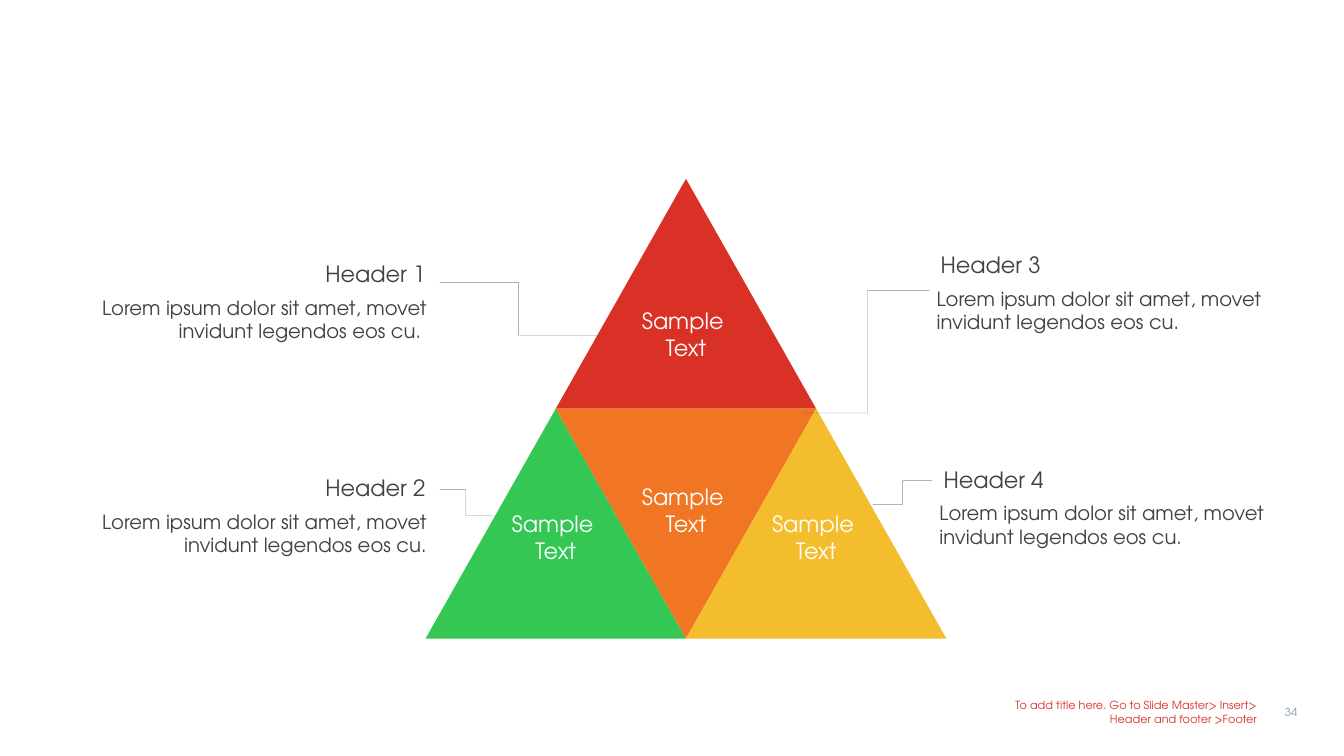
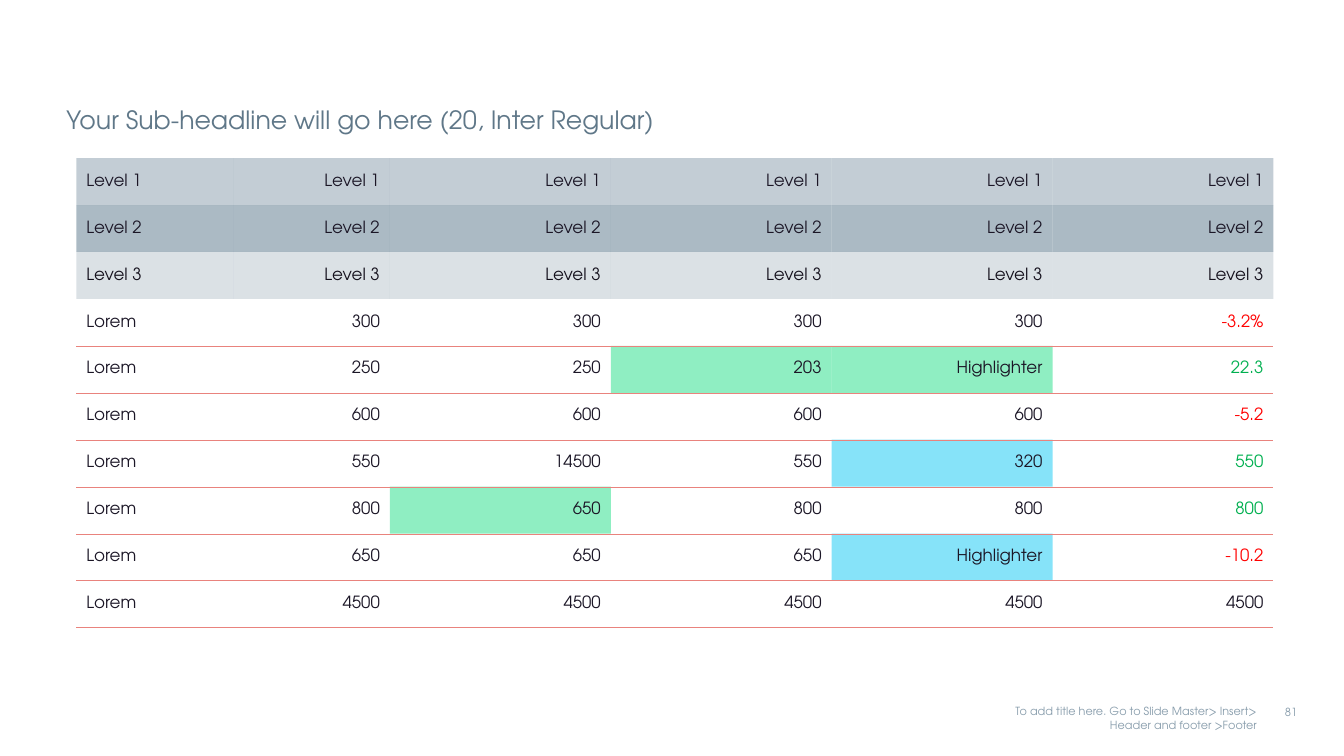
import pptx
import pptx.util
import pptx.dml.color
import pptx.enum.text
import pptx.enum.shapes
import pptx.oxml
import pptx.oxml.ns
import lxml.etree

Pt = pptx.util.Pt
Align = pptx.enum.text.PP_ALIGN
Anchor = pptx.enum.text.MSO_ANCHOR
qn = pptx.oxml.ns.qn

THEME = {
    "font": "TeX Gyre Adventor",
    "color": {
        "red": "DA3126", "green": "34C754", "orange": "F07624", "yellow": "F4BD2D",
        "white": "FFFFFF", "text": "414043", "ink": "1B1626", "dark": "14101C",
        "slate": "889DAC", "title": "5F7788", "rule": "E9837D",
        "mint": "20DE86", "sky": "0FC9F4", "loss": "FF0000", "gain": "00B050",
    },
    "size": {"foot": 8, "cell": 12, "body": 14, "head": 16, "title": 18},
}

FOOTER = "To add title here. Go to Slide Master> Insert> Header and footer >Footer"

TRIANGLES = [
    ("red", [(1, 1), (2, 0), (3, 1)], 1.5),
    ("green", [(0, 2), (1, 1), (2, 2)], 0.5),
    ("orange", [(3, 1), (2, 2), (1, 1)], -0.5),
    ("yellow", [(2, 2), (3, 1), (4, 2)], 0.5),
]
SAMPLE = ["Sample ", "Text"]
LOREM = "Lorem ipsum dolor sit amet, movet invidunt legendos eos cu."
LABELS = [
    ("Header 1", LOREM + " ", "left", 312, 180),
    ("Header 2", LOREM, "left", 312, 333),
    ("Header 3", LOREM, "right", 664, 173.7),
    ("Header 4", LOREM, "right", 666, 327),
]
LINKS = [
    (314, 201.7, 427, 239.6),
    (314, 349.7, 351.5, 368.2),
    (666, 343.3, 623.5, 360.3),
    (664, 207.4, 575.3, 295),
]

SUBHEAD = "Your Sub-headline will go here (20, Inter Regular)"
LEVELS = [("Level 1", 50, "ink"), ("Level 2", 70, "ink"), ("Level 3", 30, "dark")]
ROWS = [
    ["Lorem", "300", "300", "300", "300", "-3.2%"],
    ["Lorem", "250", "250", "203", "Highlighter", "22.3"],
    ["Lorem", "600", "600", "600", "600", "-5.2"],
    ["Lorem", "550", "14500", "550", "320", "550"],
    ["Lorem", "800", "650", "800", "800", "800"],
    ["Lorem", "650", "650", "650", "Highlighter", "-10.2"],
    ["Lorem", "4500", "4500", "4500", "4500", "4500"],
]
MARKS = {(1, 3): "mint", (1, 4): "mint", (3, 4): "sky", (4, 2): "mint", (5, 4): "sky"}
WIDTHS = [112, 112] + [157.8] * 4
HEIGHT = 33.55
PLAIN = "{2D5ABB26-0587-4C30-8999-92F81FD0307C}"


def put(item, **values):
    for name, value in values.items():
        setattr(item, name, value)


def rgb(name):
    return pptx.dml.color.RGBColor.from_string(THEME["color"][name])


def paint(fill, name):
    fill.solid()
    fill.fore_color.rgb = rgb(name)


def fade(node, share):
    for tint in node.iter(qn("a:srgbClr")):
        lxml.etree.SubElement(tint, qn("a:alpha"), val=str(share * 1000))


def write(frame, lines, size, color, align, pitch=None):
    for num, line in enumerate(lines):
        para = frame.paragraphs[0] if num == 0 else frame.add_paragraph()
        put(para, alignment=align, line_spacing=pitch)
        run = para.add_run()
        run.text = line
        put(run.font, name=THEME["font"], size=Pt(THEME["size"][size]))
        run.font.color.rgb = rgb(color)


def label(slide, area, text, size, color, align=Align.LEFT, pitch=None, pad=None,
          anchor=Anchor.TOP):
    frame = slide.shapes.add_textbox(*map(Pt, area)).text_frame
    put(frame, word_wrap=True, vertical_anchor=anchor)
    if pad is not None:
        put(frame, **{"margin_" + side: Pt(pad) for side in ("left", "right", "top", "bottom")})
    write(frame, [text], size, color, align, pitch)


def start(deck, page, color, anchor):
    slide = deck.slides.add_slide(deck.slide_layouts[6])
    label(slide, (893.5, 500.4, 40.3, 17.3), page, "foot", "slate", Align.RIGHT)
    label(slide, (707.8, 499.7, 197.3, 18), FOOTER, "foot", color, Align.RIGHT, anchor=anchor)
    return slide


def wedge(slide, color, nodes, shift):
    spots = [(Pt(304 + 93 * col), Pt(127.7 + 164.2 * row)) for col, row in nodes]
    path = slide.shapes.build_freeform(*spots[0], scale=1.0)
    path.add_line_segments(spots[1:], close=True)
    shape = path.convert_to_shape()
    shape.shadow.inherit = False
    paint(shape.fill, color)
    shape.line.fill.background()
    move = 2 * 19.3 * shift
    put(shape.text_frame, word_wrap=True, vertical_anchor=Anchor.MIDDLE,
        margin_left=Pt(5), margin_right=Pt(5),
        margin_top=Pt(3.6 + max(move, 0)), margin_bottom=Pt(3.6 + max(-move, 0)))
    write(shape.text_frame, SAMPLE, "head", "white", Align.CENTER)


def link(slide, ends):
    kind = pptx.enum.shapes.MSO_CONNECTOR.ELBOW
    line = slide.shapes.add_connector(kind, *map(Pt, ends))
    line.line.width = Pt(0.25)
    paint(line.line.fill, "ink")
    props = line.element.spPr
    fade(props, 50)
    lxml.etree.SubElement(props, qn("a:effectLst"))


def pyramid(deck):
    slide = start(deck, "34", "red", Anchor.MIDDLE)
    for item in TRIANGLES:
        wedge(slide, *item)
    for head, body, side, edge, top in LABELS:
        left = side == "left"
        align = Align.RIGHT if left else Align.LEFT
        label(slide, (edge - 213 if left else edge, top, 213, 33), head, "head", "text",
              align, 0.89, 8, Anchor.MIDDLE)
        label(slide, (edge - 280 if left else edge - 2, top + 27.6, 280, 41), body, "body",
              "text", align)
    for ends in LINKS:
        link(slide, ends)


def rule(props):
    line = lxml.etree.Element(qn("a:lnB"), w=str(Pt(0.25)))
    fill = lxml.etree.SubElement(line, qn("a:solidFill"))
    lxml.etree.SubElement(fill, qn("a:srgbClr"), val=THEME["color"]["rule"])
    props.insert(0, line)


def fill_cell(cell, text, col, color, back, share, ruled):
    cell.vertical_anchor = Anchor.MIDDLE
    write(cell.text_frame, [text], "cell", color, Align.RIGHT if col else Align.LEFT)
    props = cell._tc.get_or_add_tcPr()
    if back:
        paint(cell.fill, back)
        fade(props, share)
    else:
        cell.fill.background()
    if ruled:
        rule(props)


def levels(deck):
    slide = start(deck, "81", "slate", Anchor.TOP)
    label(slide, (40.3, 73.4, 892.8, 39.6), SUBHEAD, "title", "title", pitch=0.9)
    count = len(LEVELS) + len(ROWS)
    frame = slide.shapes.add_table(count, len(WIDTHS), Pt(54.5), Pt(112.9),
                                   Pt(sum(WIDTHS)), Pt(HEIGHT * count))
    table = frame.table
    put(table, first_row=False, horz_banding=False)
    next(frame.element.iter(qn("a:tableStyleId"))).text = PLAIN
    for col, width in zip(table.columns, WIDTHS):
        col.width = Pt(width)
    for row in table.rows:
        row.height = Pt(HEIGHT)
    for row, (text, share, color) in enumerate(LEVELS):
        for col in range(len(WIDTHS)):
            fill_cell(table.cell(row, col), text, col, color, "slate", share, False)
    for row, texts in enumerate(ROWS):
        for col, text in enumerate(texts):
            color = "ink"
            if col == len(WIDTHS) - 1 and row < len(ROWS) - 1:
                color = "loss" if text.startswith("-") else "gain"
            fill_cell(table.cell(row + len(LEVELS), col), text, col, color,
                      MARKS.get((row, col)), 50, True)


def main():
    deck = pptx.Presentation()
    put(deck, slide_width=Pt(960), slide_height=Pt(540))
    pyramid(deck)
    levels(deck)
    deck.save("out.pptx")


if __name__ == "__main__":
    main()
